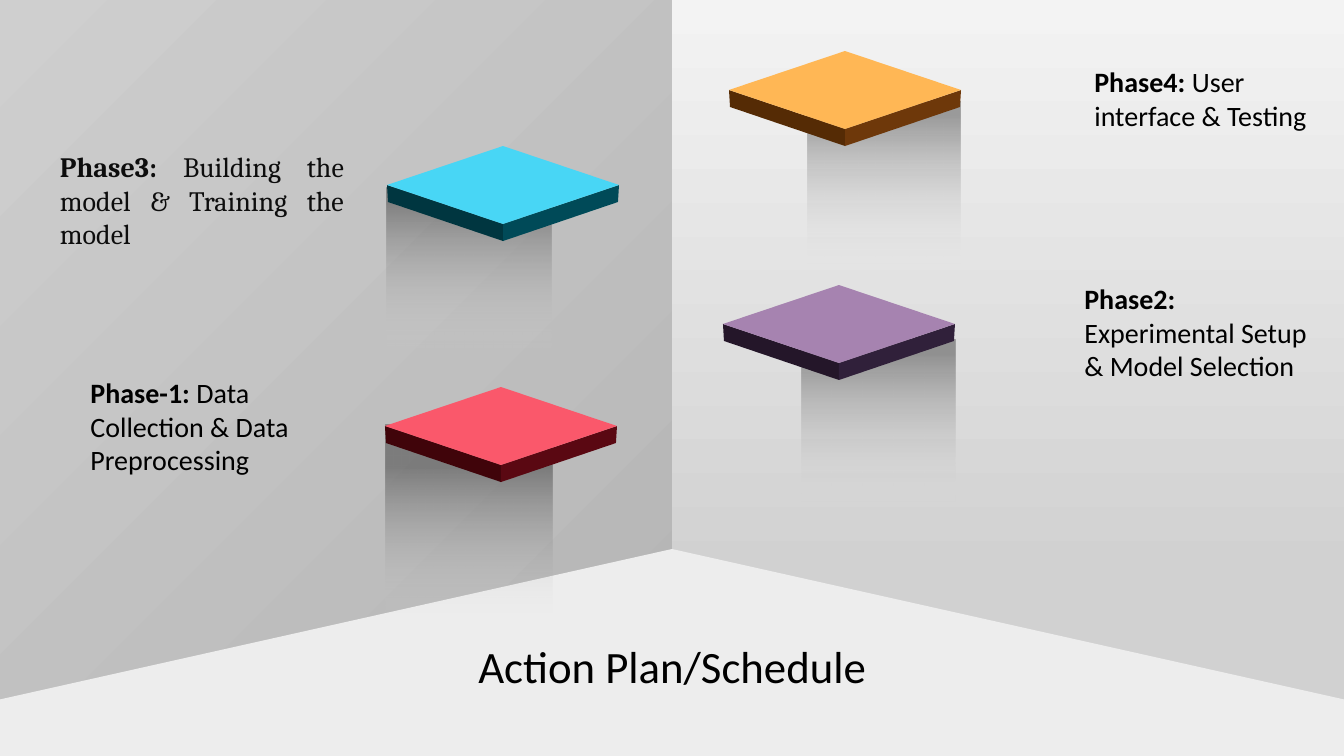
import pptx
import pptx.util
import pptx.dml.color
import pptx.enum.shapes
import pptx.enum.text
import pptx.oxml
import pptx.oxml.ns

COLORS = {
    "black": "000000", "ink": "0D0D0D", "mist": "F3F3F3", "floor": "EDEDED",
    "right_wall": "D1D1D1", "left_light": "CFCFCF", "left_dark": "B6B6B6",
}
TILES = {
    "red": ("FA586B", "40040A", "5A0812"),
    "cyan": ("48D6F5", "003640", "004A58"),
    "purple": ("A683B0", "241629", "30203A"),
    "orange": ("FFB755", "552B05", "6E380A"),
}
WALLS = [
    ((672, 0, 672, 756), 270, [(0, "mist"), (76, "right_wall")]),
    ((0, -2, 672, 756), 315, [(0, "left_light"), (92, "left_dark")]),
]
BODY = {"font": "Calibri", "color": "black", "align": "LEFT", "level": 1}
JUSTIFIED = {"font": "Cambria", "color": "ink", "align": "JUSTIFY", "level": 0}
PHASES = [
    {"tile": "red", "corner": (385, 387), "shadow": (386, 425, 166, 196), "stops": (0, 78),
     "text": (40, 375, 284, 102), "style": BODY,
     "words": ("Phase-1: ", "Data Collection & Data Preprocessing")},
    {"tile": "cyan", "corner": (387, 146), "shadow": (387, 188, 164, 196), "stops": (17, 92),
     "text": (60, 149, 284, 102), "style": JUSTIFIED,
     "words": ("Phase3: ", "Building the model & Training the model")},
    {"tile": "purple", "corner": (723, 285), "shadow": (802, 340, 153, 196), "stops": (17, 92),
     "text": (1034, 281, 290, 102), "style": BODY,
     "words": ("Phase2: ", "Experimental Setup & Model Selection")},
    {"tile": "orange", "corner": (729, 51), "shadow": (808, 102, 153, 196), "stops": (17, 92),
     "text": (1044, 65, 284, 67), "style": BODY,
     "words": ("Phase4: ", "User interface & Testing")},
]
TITLE = "Action Plan/Schedule"
TILE_WIDTH, TILE_HEIGHT, TILE_DEPTH = 232, 78, 17
SHADOW_OPACITY = (0, 34)
SCALE = 914400 / 100.8
PRESETS = pptx.enum.shapes.MSO_SHAPE
ALIGN = pptx.enum.text.PP_ALIGN
ANCHOR = pptx.enum.text.MSO_ANCHOR


def emu(pixels):
    return pptx.util.Emu(round(pixels * SCALE))


def rgb(value):
    return pptx.dml.color.RGBColor.from_string(value)


def apply(target, values):
    for name, value in values.items():
        setattr(target, name, value)


def plain(shape, color=None):
    shape.shadow.inherit = False
    shape.line.fill.background()
    if color:
        shape.fill.solid()
        shape.fill.fore_color.rgb = rgb(color)
    return shape


def add_preset(shapes, preset, box, color=None):
    return plain(shapes.add_shape(preset, *map(emu, box)), color)


def add_gradient(shapes, box, angle, stops, opacities=()):
    shape = add_preset(shapes, PRESETS.RECTANGLE, box)
    shape.fill.gradient()
    shape.fill.gradient_angle = angle
    for stop, (position, color) in zip(shape.fill.gradient_stops, stops):
        stop.position = position / 100
        stop.color.rgb = rgb(COLORS[color])
    tints = shape._element.spPr.iter(pptx.oxml.ns.qn("a:srgbClr"))
    for tint, opacity in zip(tints, opacities):
        alpha = pptx.oxml.parse_xml(
            f'<a:alpha {pptx.oxml.ns.nsdecls("a")} val="{opacity * 1000}"/>')
        tint.append(alpha)


def add_face(shapes, points, color):
    (start_x, start_y), *others = points
    builder = shapes.build_freeform(emu(start_x), emu(start_y))
    builder.add_line_segments([(emu(x), emu(y)) for x, y in others])
    plain(builder.convert_to_shape(), color)


def add_tile(shapes, corner, colors):
    left, top = corner
    middle, right = left + TILE_WIDTH // 2, left + TILE_WIDTH
    side, bottom = top + TILE_HEIGHT // 2, top + TILE_HEIGHT
    top_color, left_color, right_color = colors
    for outer, inset, color in ((left, 1, left_color), (right, -1, right_color)):
        add_face(shapes, [(outer, side), (middle, bottom), (middle, bottom + TILE_DEPTH),
                          (outer + inset, side + TILE_DEPTH)], color)
    add_preset(shapes, PRESETS.DIAMOND, (left, top, TILE_WIDTH, TILE_HEIGHT), top_color)


def add_text(shapes, box, runs, style, size, frame_values):
    frame = shapes.add_textbox(*map(emu, box)).text_frame
    apply(frame, {"word_wrap": True,
                  "auto_size": pptx.enum.text.MSO_AUTO_SIZE.SHAPE_TO_FIT_TEXT,
                  **frame_values})
    paragraph = frame.paragraphs[0]
    apply(paragraph, {"alignment": getattr(ALIGN, style["align"]), "level": style["level"]})
    for words, bold in runs:
        run = paragraph.add_run()
        run.text = words
        apply(run.font, {"name": style["font"], "size": pptx.util.Pt(size), "bold": bold})
        run.font.color.rgb = rgb(COLORS[style["color"]])


def add_phase(slide, phase):
    shapes = slide.shapes.add_group_shape().shapes
    stops = list(zip(phase["stops"], ("mist", "black")))
    add_gradient(shapes, phase["shadow"], 90, stops, SHADOW_OPACITY)
    add_tile(shapes, phase["corner"], TILES[phase["tile"]])
    frame_values = {"vertical_anchor": ANCHOR.MIDDLE, "margin_left": 0, "margin_right": 0,
                    "margin_top": 0, "margin_bottom": 0}
    runs = zip(phase["words"], (True, False))
    add_text(shapes, phase["text"], runs, phase["style"], 20, frame_values)


def main():
    presentation = pptx.Presentation()
    apply(presentation, {"slide_width": emu(1344), "slide_height": emu(756)})
    slide = presentation.slides.add_slide(presentation.slide_layouts[6])
    for box, angle, stops in WALLS:
        add_gradient(slide.shapes, box, angle, stops)
    floor = add_preset(slide.shapes, PRESETS.PENTAGON, (567, -18, 210, 1344), COLORS["floor"])
    floor.rotation = 270
    floor.adjustments[0] = 0.716
    for phase in PHASES:
        add_phase(slide, phase)
    title_style = {**BODY, "align": "CENTER", "level": 0}
    add_text(slide.shapes, (359, 634, 627, 65), [(TITLE, False)], title_style, 32, {})
    presentation.save("out.pptx")


if __name__ == "__main__":
    main()
